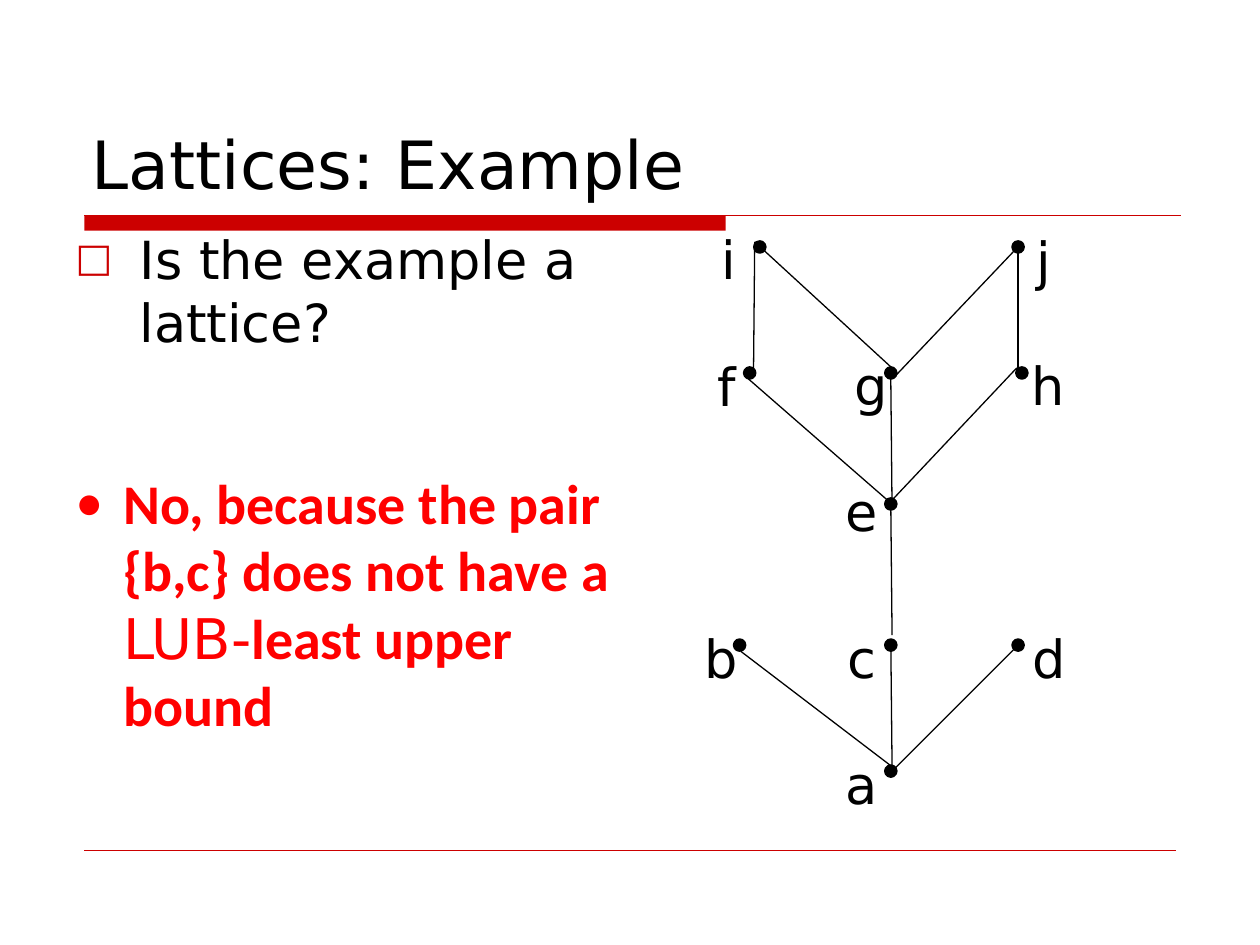
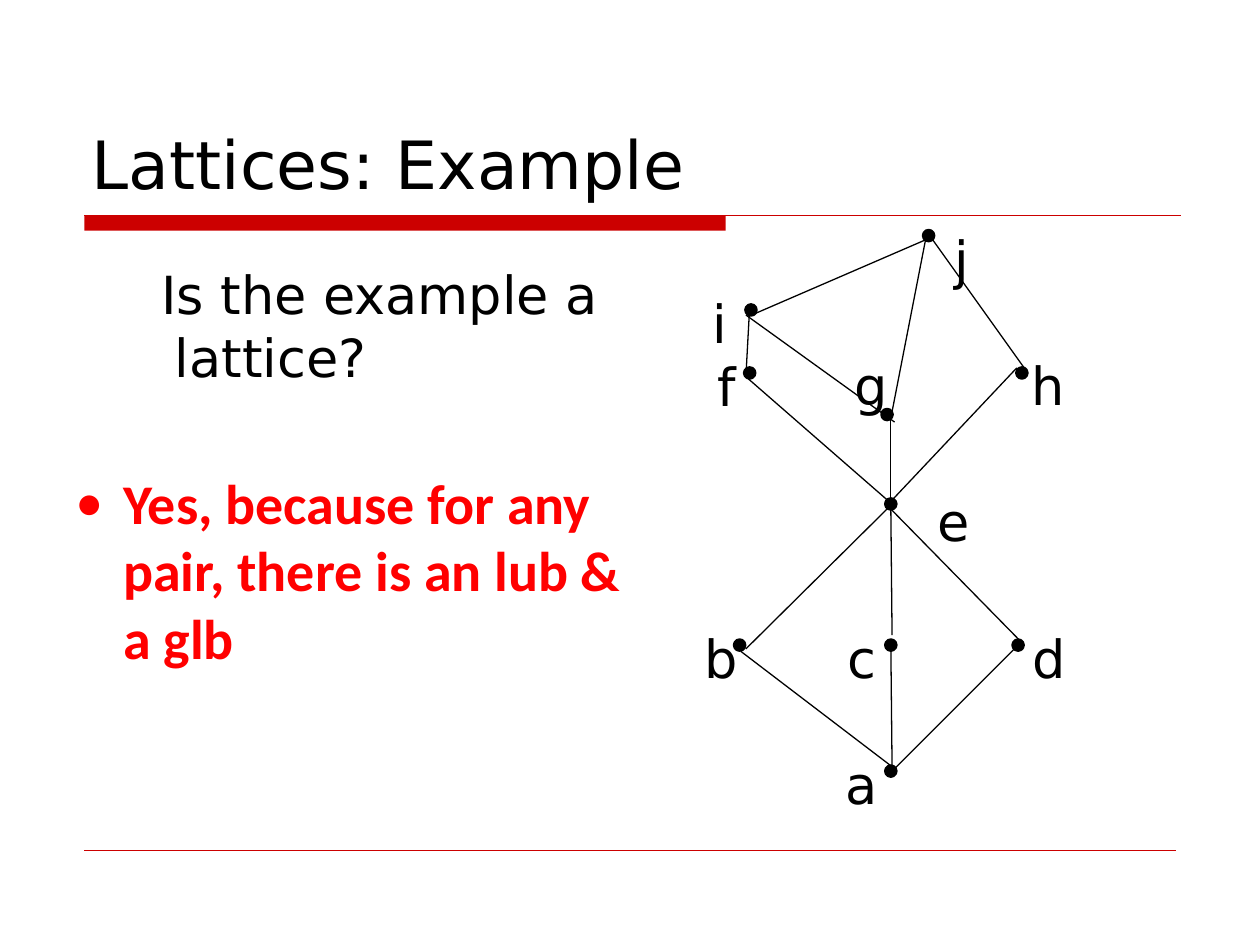
from lxml import etree
from pptx import Presentation
from pptx.dml.color import RGBColor
from pptx.enum.shapes import MSO_CONNECTOR, MSO_SHAPE
from pptx.enum.text import MSO_ANCHOR
from pptx.oxml.ns import qn
from pptx.util import Inches, Pt

BLACK = RGBColor(0x00, 0x00, 0x00)
BAND_RED = RGBColor(0xCC, 0x00, 0x00)
ANSWER_RED = RGBColor(0xFF, 0x00, 0x00)
MAIN_FONT = "DejaVu Sans"
ANSWER_FONT = "Calibri"
DOT_SIZE = 0.08


def add_text(slide, box, text, size=30, font=MAIN_FONT, color=BLACK, bold=False,
             anchor=MSO_ANCHOR.TOP, left=0, indent=0, bullet=None, bullet_size=100,
             plain=None):
    """Add one paragraph; the part of the text named by plain is set in the main font."""
    frame = slide.shapes.add_textbox(*map(Inches, box)).text_frame
    frame.word_wrap = True
    frame.vertical_anchor = anchor
    paragraph = frame.paragraphs[0]
    properties = paragraph._p.get_or_add_pPr()
    properties.set("marL", str(Inches(left)))
    properties.set("indent", str(Inches(indent)))
    if bullet:
        bullet_char, bullet_color = bullet
        fill = etree.SubElement(properties, qn("a:buClr"))
        etree.SubElement(fill, qn("a:srgbClr"), val=str(bullet_color))
        etree.SubElement(properties, qn("a:buSzPct"), val=str(bullet_size * 1000))
        etree.SubElement(properties, qn("a:buFont"), typeface=font)
        etree.SubElement(properties, qn("a:buChar"), char=bullet_char)
    before, middle, after = text.partition(plain) if plain else (text, "", "")
    for part in filter(None, (before, middle, after)):
        run = paragraph.add_run()
        run.text = part
        run.font.size = Pt(size)
        run.font.name = MAIN_FONT if part == plain else font
        run.font.bold = bold and part != plain
        run.font.color.rgb = color


def add_line(slide, start, end, color=BLACK, width=0.75):
    line = slide.shapes.add_connector(MSO_CONNECTOR.STRAIGHT,
                                      *map(Inches, (*start, *end)))
    line.line.color.rgb = color
    line.line.width = Pt(width)
    etree.SubElement(line._element.spPr, qn("a:effectLst"))


# Nodes: dot position, label position
shared_nodes = {
    "a": ((7.03, 6.08), (6.61, 5.92)),
    "b": ((5.83, 5.08), (5.49, 4.92)),
    "c": ((7.03, 5.08), (6.63, 4.92)),
    "d": ((8.04, 5.08), (8.1, 4.92)),
    "f": ((5.91, 2.92), (5.6, 2.76)),
    "h": ((8.07, 2.92), (8.09, 2.75)),
}
# Edges: lower end, upper end
shared_edges = [
    ((7.1, 6.1), (5.88, 5.17)),   # a-b
    ((7.08, 6.08), (7.07, 5.08)),  # a-c
    ((7.1, 6.1), (8.05, 5.15)),   # a-d
    ((7.08, 5.04), (7.07, 4)),    # c-e
    ((7.09, 4.01), (5.92, 2.99)),  # e-f
    ((7.07, 3.98), (8.07, 2.92)),  # e-h
]

examples = [
    {
        "question": {"box": (0.5, 1.75, 4.58, 1.5), "indent": -0.51,
                     "bullet": ("□", BAND_RED), "bullet_size": 75},
        "answer": {"text": "No, because the pair {b,c} does not have a "
                           "LUB-least upper bound",
                   "box": (0.5, 3.67, 4.73, 2.27), "plain": "LUB-"},
        "nodes": {
            "e": ((7.03, 3.96), (6.61, 3.75)),
            "g": ((7.03, 2.92), (6.68, 2.75)),
            "i": ((5.99, 1.92), (5.63, 1.75)),
            "j": ((8.04, 1.92), (8.13, 1.76)),
        },
        "edges": [
            ((7.08, 4.04), (7.07, 3)),     # e-g
            ((5.98, 2.99), (5.99, 1.92)),  # f-i
            ((7.09, 2.93), (5.99, 1.92)),  # g-i
            ((7.1, 2.99), (8.05, 1.99)),   # g-j
            ((8.08, 3), (8.08, 1.92)),     # h-j
        ],
    },
    {
        "question": {"box": (0.78, 2.03, 4.58, 1.5), "indent": -0.11},
        "answer": {"text": "Yes, because for any pair, there is an lub & a glb",
                   "box": (0.5, 3.67, 4.58, 1.5)},
        "nodes": {
            "e": ((7.03, 3.96), (7.34, 3.83)),
            "g": ((7, 3.25), (6.68, 2.75)),
            "i": ((5.92, 2.42), (5.56, 2.26)),
            "j": ((7.33, 1.83), (7.48, 1.75)),
        },
        "edges": [
            ((5.92, 5.15), (7.05, 4.03)),  # b-e
            ((8.11, 5.1), (7.07, 4.04)),   # d-e
            ((7.07, 4.04), (7.07, 3.32)),  # e-g
            ((5.92, 2.99), (5.95, 2.43)),  # f-i
            ((7.1, 3.35), (5.92, 2.5)),    # g-i
            ((7.07, 3.32), (7.36, 1.83)),  # g-j
            ((8.15, 2.95), (7.4, 1.9)),    # h-j
            ((5.99, 2.49), (7.4, 1.88)),   # i-j
        ],
    },
]

deck = Presentation()
deck.slide_width = Inches(10)
deck.slide_height = Inches(7.5)

for example in examples:
    slide = deck.slides.add_slide(deck.slide_layouts[6])

    # Title band and footer rule
    band = slide.shapes.add_shape(MSO_SHAPE.RECTANGLE,
                                  *map(Inches, (0.67, 1.71, 5.09, 0.12)))
    band.shadow.inherit = False
    band.fill.solid()
    band.fill.fore_color.rgb = BAND_RED
    band.line.fill.background()
    add_line(slide, (0.67, 1.71), (9.37, 1.71), BAND_RED)
    add_line(slide, (0.67, 6.75), (9.33, 6.75), BAND_RED, 0.25)

    # Title, question and answer
    add_text(slide, (0.63, 0.33, 8.75, 1.33), "Lattices: Example", size=38,
             anchor=MSO_ANCHOR.BOTTOM)
    add_text(slide, text="Is the example a lattice?", left=0.51, **example["question"])
    add_text(slide, size=32, font=ANSWER_FONT, color=ANSWER_RED, bold=True,
             left=0.38, indent=-0.38, bullet=("•", ANSWER_RED), **example["answer"])

    # Lattice diagram
    for lower, upper in shared_edges + example["edges"]:
        add_line(slide, lower, upper)
    for name, (dot_at, label_at) in (shared_nodes | example["nodes"]).items():
        dot = slide.shapes.add_shape(MSO_SHAPE.OVAL,
                                     *map(Inches, (*dot_at, DOT_SIZE, DOT_SIZE)))
        dot.shadow.inherit = False
        dot.fill.solid()
        dot.fill.fore_color.rgb = BLACK
        dot.line.color.rgb = BLACK
        dot.line.width = Pt(2)
        add_text(slide, (*label_at, 0.47, 0.6), name)

deck.save("out.pptx")
